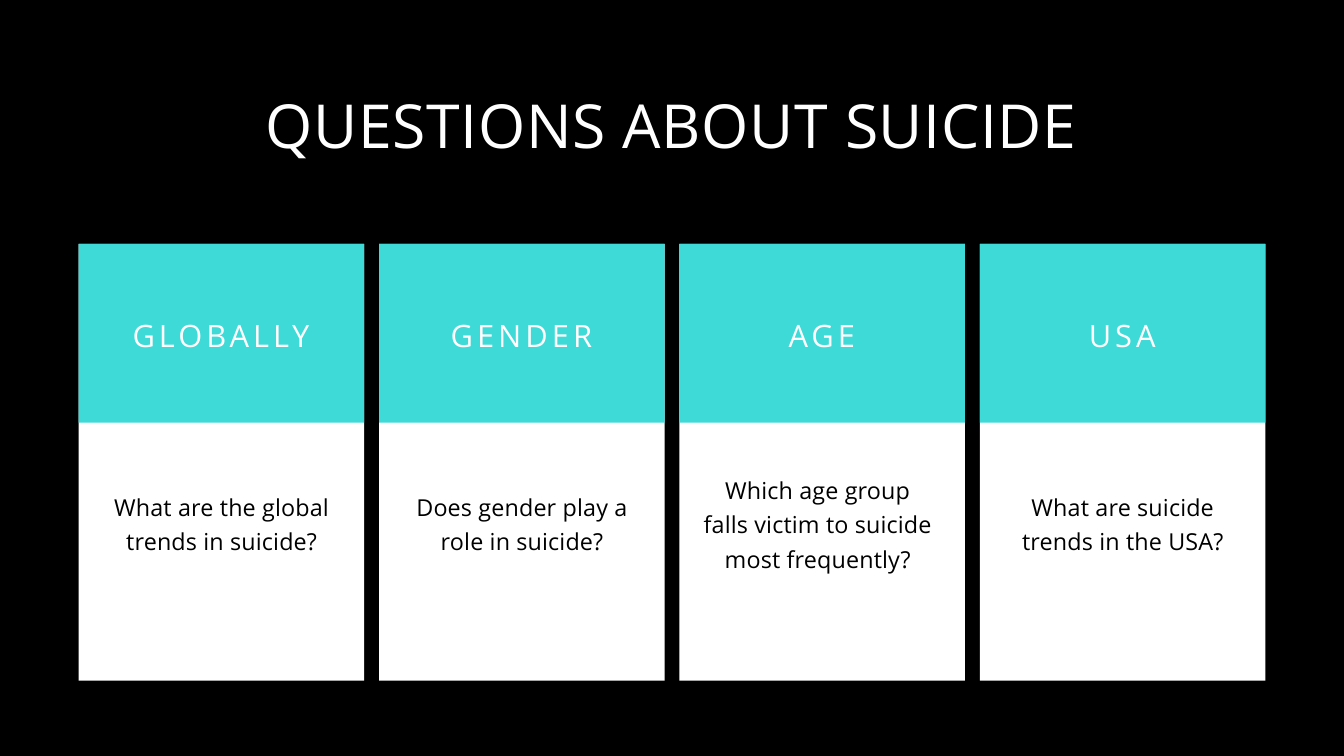
from pptx import Presentation
from pptx.dml.color import RGBColor
from pptx.enum.shapes import MSO_SHAPE
from pptx.enum.text import MSO_ANCHOR, MSO_AUTO_SIZE, PP_ALIGN
from pptx.util import Inches, Pt

RECTANGLE = MSO_SHAPE.RECTANGLE
TOP = MSO_ANCHOR.TOP
FIT_SHAPE = MSO_AUTO_SIZE.SHAPE_TO_FIT_TEXT
CENTER = PP_ALIGN.CENTER

# Content: heading, question, lines the question takes, inset of the question
TITLE = "QUESTIONS ABOUT SUICIDE"
CARDS = [
    ("GLOBALLY", "What are the global trends in suicide?", 2, 0.4),
    ("GENDER", "Does gender play a role in suicide?", 2, 0.4),
    ("AGE", "Which age group falls victim to suicide most frequently?", 3, 0.33),
    ("USA", "What are suicide trends in the USA?", 2, 0.4),
]

# Text styles: size, line spacing and letter spacing in points, colour
THEME = {
    "font": "Open Sans",
    "background": "000000",
    "card": "FFFFFF",
    "band": "3EDAD8",
    "title": (65, 88, 0.7, "FFFFFF"),
    "heading": (33, 49, 4.3, "FFFFFF"),
    "question": (25, 37, 0.2, "000000"),
}

# Card grid, in inches
CARD_LEFT, CARD_TOP = 1.17, 3.63
CARD_WIDTH, CARD_HEIGHT, BAND_HEIGHT = 4.25, 6.5, 2.66
CARD_PITCH = 4.47
HEADING_INSET, HEADING_TOP = 0.33, 4.58
QUESTION_MIDDLE, QUESTION_LINE = 7.75, 0.51


def inches(*lengths):
    return [Inches(length) for length in lengths]


def write(box, text, style):
    size, line_spacing, letter_spacing, color = THEME[style]
    frame = box.text_frame
    frame.text = text
    frame.word_wrap = True
    frame.auto_size = FIT_SHAPE
    frame.vertical_anchor = TOP
    frame.margin_left = frame.margin_right = 0
    frame.margin_top = frame.margin_bottom = 0
    paragraph = frame.paragraphs[0]
    paragraph.alignment = CENTER
    paragraph.line_spacing = Pt(line_spacing)
    font = paragraph.runs[0].font
    font.name = THEME["font"]
    font.size = Pt(size)
    font.color.rgb = RGBColor.from_string(color)
    # Letter spacing is stored in hundredths of a point
    paragraph.runs[0]._r.get_or_add_rPr().set("spc", str(round(letter_spacing * 100)))


def add_panel(slide, left, height, color):
    panel = slide.shapes.add_shape(
        RECTANGLE, *inches(left, CARD_TOP, CARD_WIDTH, height))
    panel.shadow.inherit = False
    panel.fill.solid()
    panel.fill.fore_color.rgb = RGBColor.from_string(THEME[color])
    panel.line.fill.background()


def add_card(slide, left, heading, question, lines, inset):
    add_panel(slide, left, CARD_HEIGHT, "card")
    add_panel(slide, left, BAND_HEIGHT, "band")
    heading_box = slide.shapes.add_textbox(
        *inches(left + HEADING_INSET, HEADING_TOP, 3.58, 0.65))
    write(heading_box, heading, "heading")
    height = lines * QUESTION_LINE
    question_box = slide.shapes.add_textbox(
        *inches(left + inset, QUESTION_MIDDLE - height / 2, 3.46, height))
    write(question_box, question, "question")


def main():
    deck = Presentation()
    deck.slide_width, deck.slide_height = inches(20, 11.25)
    slide = deck.slides.add_slide(deck.slide_layouts[5])
    slide.background.fill.solid()
    slide.background.fill.fore_color.rgb = RGBColor.from_string(THEME["background"])

    # Title
    title = slide.shapes.title
    title.left, title.top, title.width, title.height = inches(1.25, 1.17, 17.49, 1.19)
    write(title, TITLE, "title")

    # Cards
    for index, card in enumerate(CARDS):
        add_card(slide, CARD_LEFT + index * CARD_PITCH, *card)

    deck.save("out.pptx")


if __name__ == "__main__":
    main()
